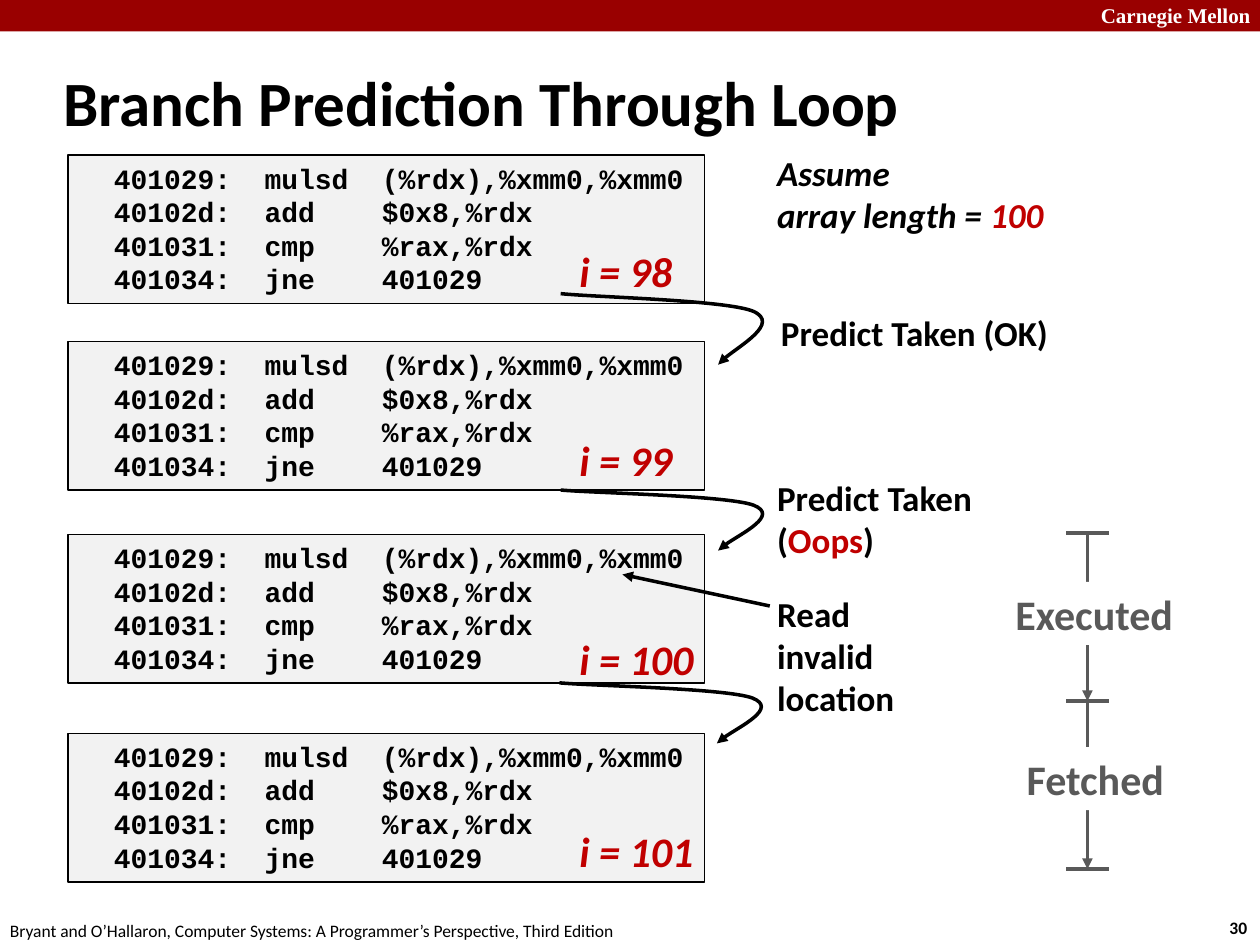
from pptx import Presentation
from pptx.dml.color import RGBColor
from pptx.enum.shapes import MSO_CONNECTOR, MSO_SHAPE
from pptx.enum.text import MSO_ANCHOR, MSO_AUTO_SIZE, PP_ALIGN
from pptx.oxml.ns import qn
from pptx.util import Pt
from lxml.etree import SubElement

TITLE = "Branch Prediction Through Loop"
FOOTER = "Bryant and O’Hallaron, Computer Systems: A Programmer’s Perspective, Third Edition"
CODE = [
    "  401029:  mulsd  (%rdx),%xmm0,%xmm0",
    "  40102d:  add    $0x8,%rdx",
    "  401031:  cmp    %rax,%rdx",
    "  401034:  jne    401029",
]
BLACK, WHITE, RED, GRAY = "000000", "FFFFFF", "C00000", "595959"

# (box top, label, label top, label width)
ITERATIONS = [
    (88.5, "i = 98", 136.8, 67.7),
    (195, "i = 99", 244.8, 67.7),
    (305.3, "i = 100", 358.6, 80),
    (419, "i = 101", 468, 80),
]
JUMPS = [(320.4, 167.8, 40.6), (320.4, 280, 34.6), (319.7, 390.2, 34.6)]
JUMP_CURVE = [(0, 0), (18.7, 0.05), (95, 0.09), (110.2, 0.25),
              (125.3, 0.42), (94.3, 0.85), (90, 1)]
NOTES = [
    ((439.2, 174.3, 168.5, 31.7), ["Predict Taken (OK)"], {}),
    ((437, 268.6, 126.7, 55.4), ["Predict Taken", [("(", BLACK), ("Oops", RED), (")", BLACK)]], {}),
    ((437, 82.8, 167, 55.4), ["Assume", [("array length = ", BLACK), ("100", RED)]], {"italic": True}),
    ((437, 334.8, 102.2, 80), ["Read invalid location"], {"wrap": True}),
]
PHASES = [("Executed", (573.1, 332.6, 105.8, 36)), ("Fetched", (579.6, 427, 93.6, 36))]
AXIS_X, TICK, TICKS = 621.4, 12.2, [304.6, 400.6, 496.6]


def rgb(value):
    """Turn a hex string into a colour."""
    return RGBColor.from_string(value)


def write(s, paragraphs, size=20, color=BLACK, font="Calibri", bold=True, italic=False,
          wrap=False, spacing=None, anchor=MSO_ANCHOR.TOP, fit=MSO_AUTO_SIZE.SHAPE_TO_FIT_TEXT):
    """Fill a shape with paragraphs, each a string or a list of (text, colour) runs."""
    tf = s.text_frame
    tf.word_wrap, tf.auto_size, tf.vertical_anchor = wrap, fit, anchor
    for i, content in enumerate(paragraphs):
        p = tf.add_paragraph() if i else tf.paragraphs[0]
        p.alignment = PP_ALIGN.LEFT
        if spacing:
            p.line_spacing = Pt(spacing)
        for text, run_color in [(content, color)] if isinstance(content, str) else content:
            r = p.add_run()
            r.text = text
            r.font.name, r.font.size = font, Pt(size)
            r.font.bold, r.font.italic = bold, italic
            r.font.color.rgb = rgb(run_color)


def add_text(slide, box, paragraphs, **style):
    """Add a text box."""
    write(slide.shapes.add_textbox(*map(Pt, box)), paragraphs, **style)


def add_rect(slide, box, fill, line=None):
    """Add a filled rectangle."""
    s = slide.shapes.add_shape(MSO_SHAPE.RECTANGLE, *map(Pt, box))
    s.shadow.inherit = False
    s.fill.solid()
    s.fill.fore_color.rgb = rgb(fill)
    if line:
        s.line.color.rgb, s.line.width = rgb(line), Pt(0.75)
    else:
        s.line.fill.background()
    return s


def style_line(s, color, arrow):
    """Set the stroke and an optional arrowhead at the end."""
    s.line.color.rgb, s.line.width = rgb(color), Pt(2)
    if arrow:
        SubElement(s.line._get_or_add_ln(), qn("a:tailEnd"), type="triangle")


def add_line(slide, start, end, color, arrow=False):
    """Add a straight connector."""
    s = slide.shapes.add_connector(MSO_CONNECTOR.STRAIGHT, *map(Pt, start + end))
    style_line(s, color, arrow)
    SubElement(s._element.spPr, qn("a:effectLst"))


def add_jump(slide, x, y, height):
    """Add a curved arrow, grouping the outline's points into cubic segments."""
    points = [(Pt(x + dx), Pt(y + part * height)) for dx, part in JUMP_CURVE]
    builder = slide.shapes.build_freeform(*points[0])
    builder.add_line_segments(points[1:], close=False)
    s = builder.convert_to_shape()
    s.shadow.inherit = False
    s.fill.background()
    style_line(s, BLACK, True)
    outline = next(s._element.iter(qn("a:path")))
    segments = outline.findall(qn("a:lnTo"))
    for i in range(0, len(segments), 3):
        curve = SubElement(outline, qn("a:cubicBezTo"))
        for segment in segments[i:i + 3]:
            curve.append(segment[0])
            outline.remove(segment)


def main():
    """Build the slide."""
    prs = Presentation()
    prs.slide_width, prs.slide_height = Pt(720), Pt(540)
    slide = prs.slides.add_slide(prs.slide_layouts[5])

    add_rect(slide, (0, 0, 720, 18), "990000")
    add_text(slide, (622, -2.2, 103, 21.6), ["Carnegie Mellon"], size=12, color=WHITE,
             font="Times New Roman", wrap=True)
    add_text(slide, (695.5, 520.6, 26.6, 19.4), ["30"], size=10)
    add_text(slide, (-1.4, 522, 365.8, 19.4), [FOOTER], size=10, bold=False)

    title = slide.shapes.title
    title.left, title.top, title.width, title.height = map(Pt, (28.8, 35.3, 618.5, 45.4))
    write(title, [TITLE], size=36, wrap=True, anchor=MSO_ANCHOR.MIDDLE, fit=MSO_AUTO_SIZE.NONE)

    for top, label, label_top, label_width in ITERATIONS:
        box = add_rect(slide, (38.9, top, 363.6, 85), "F2F2F2", BLACK)
        write(box, CODE, size=16, font="Courier New", spacing=19.2)
        add_text(slide, (324, label_top, label_width, 36), [label], size=24, color=RED, italic=True)
    for jump in JUMPS:
        add_jump(slide, *jump)
    for box, paragraphs, style in NOTES:
        add_text(slide, box, paragraphs, **style)
    add_line(slide, (439.9, 346.3), (355.7, 328.3), BLACK, arrow=True)

    for start, end in zip(TICKS, TICKS[1:]):
        add_line(slide, (AXIS_X, start), (AXIS_X, end), GRAY, arrow=True)
    for phase, box in PHASES:
        write(add_rect(slide, box, WHITE), [phase], size=24, color=GRAY)
    for y in TICKS:
        add_line(slide, (AXIS_X - TICK, y), (AXIS_X + TICK, y), GRAY)

    prs.save("out.pptx")


if __name__ == "__main__":
    main()
